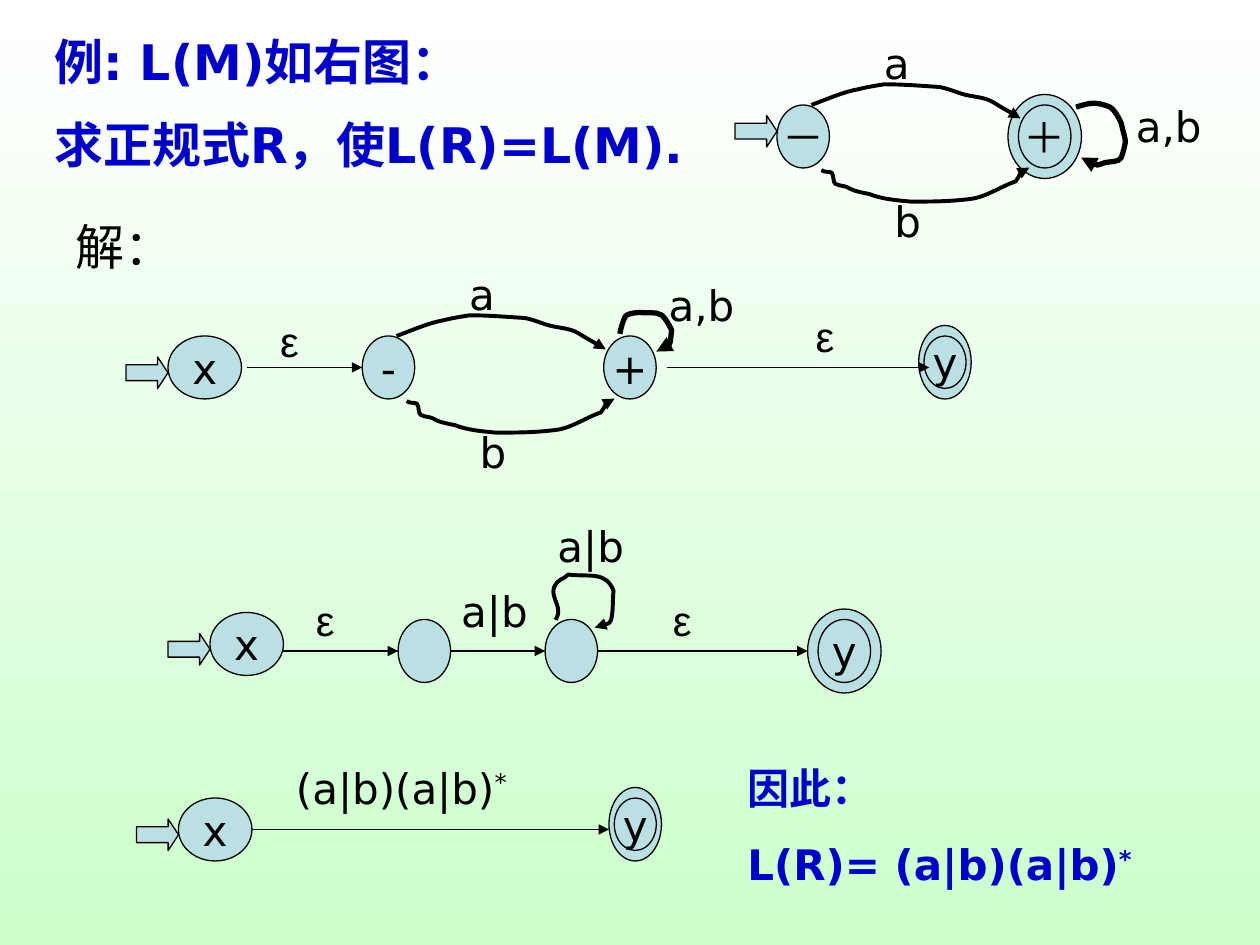
from dataclasses import dataclass

from lxml import etree
from pptx import Presentation
from pptx.dml.color import RGBColor
from pptx.enum.shapes import MSO_CONNECTOR, MSO_SHAPE
from pptx.enum.text import MSO_ANCHOR, MSO_AUTO_SIZE, PP_ALIGN
from pptx.oxml.ns import qn
from pptx.util import Pt

ELLIPSE = MSO_SHAPE.OVAL
RIGHT_ARROW = MSO_SHAPE.RIGHT_ARROW
STRAIGHT = MSO_CONNECTOR.STRAIGHT
MIDDLE = MSO_ANCHOR.MIDDLE
CENTER = PP_ALIGN.CENTER
GROW = MSO_AUTO_SIZE.SHAPE_TO_FIT_TEXT

COLORS = {"top": "FFFFFF", "bottom": "CCFFCC", "node": "BBE0E3", "ink": "000000", "blue": "0000CC"}
SANS = "DejaVu Sans"
GREEK = "Arial"


@dataclass
class Node:
    left: float
    top: float
    text: str = ""
    width: float = 30
    height: float = 36
    ring: float = 0


@dataclass
class Edge:
    start: float
    end: float
    y: float


@dataclass
class Label:
    left: float
    top: float
    width: float
    text: str
    font: str = SANS
    superscript: str = ""


@dataclass
class Curve:
    points: list[tuple[float, float]]
    weight: float = 2.25


def rgb(name: str) -> RGBColor:
    return RGBColor.from_string(COLORS[name])


def add_run(paragraph, text: str, size: float, color: str = "ink", bold: bool = False,
            font: str = SANS, raised: bool = False) -> None:
    run = paragraph.add_run()
    run.text = text
    run.font.size = Pt(size)
    run.font.name = font
    run.font.bold = bold
    run.font.color.rgb = rgb(color)
    if raised:
        run._r.get_or_add_rPr().set("baseline", "30000")


def add_text_frame(slide, left: float, top: float, width: float, height: float):
    frame = slide.shapes.add_textbox(Pt(left), Pt(top), Pt(width), Pt(height)).text_frame
    frame.word_wrap = True
    return frame


def draw_outline(shape, weight: float = 0.75, arrow: bool = False) -> None:
    shape.line.color.rgb = rgb("ink")
    shape.line.width = Pt(weight)
    if arrow:
        etree.SubElement(shape.line._get_or_add_ln(), qn("a:tailEnd"), type="triangle")


def add_filled_shape(slide, kind, left: float, top: float, width: float, height: float):
    shape = slide.shapes.add_shape(kind, Pt(left), Pt(top), Pt(width), Pt(height))
    shape.shadow.inherit = False
    shape.fill.solid()
    shape.fill.fore_color.rgb = rgb("node")
    draw_outline(shape)
    return shape


def draw_node(slide, node: Node) -> None:
    if node.ring:
        add_filled_shape(slide, ELLIPSE, node.left - node.ring, node.top - 6,
                         node.width + 2 * node.ring, node.height + 12)
    shape = add_filled_shape(slide, ELLIPSE, node.left, node.top, node.width, node.height)
    if node.text:
        frame = shape.text_frame
        frame.word_wrap = False
        frame.vertical_anchor = MIDDLE
        frame.paragraphs[0].alignment = CENTER
        add_run(frame.paragraphs[0], node.text, 24)


def draw_start(slide, left: float, top: float, text: str) -> None:
    draw_node(slide, Node(left, top, text, width=42))
    draw_entry(slide, left - 24, top + (12 if text else 6))


def draw_entry(slide, left: float, top: float) -> None:
    arrow = add_filled_shape(slide, RIGHT_ARROW, left, top, 24, 18)
    arrow.adjustments[1] = 0.33


def draw_edge(slide, edge: Edge) -> None:
    connector = slide.shapes.add_connector(STRAIGHT, Pt(edge.start), Pt(edge.y), Pt(edge.end), Pt(edge.y))
    draw_outline(connector, arrow=True)
    etree.SubElement(connector._element.spPr, qn("a:effectLst"))


def draw_label(slide, label: Label) -> None:
    frame = add_text_frame(slide, label.left, label.top, label.width, 36)
    frame.auto_size = GROW
    add_run(frame.paragraphs[0], label.text, 24, font=label.font)
    if label.superscript:
        add_run(frame.paragraphs[0], label.superscript, 24, raised=True)


def draw_curve(slide, curve: Curve, left: float = 0, top: float = 0) -> None:
    points = [(Pt(left + x), Pt(top + y)) for x, y in curve.points]
    builder = slide.shapes.build_freeform(*points[0])
    builder.add_line_segments(points[1:], close=False)
    shape = builder.convert_to_shape()
    shape.shadow.inherit = False
    shape.fill.background()
    draw_outline(shape, curve.weight, arrow=True)
    segments = list(shape._element.iter(qn("a:lnTo")))
    outline = segments[0].getparent()
    for first in range(0, len(segments), 3):
        bezier = etree.SubElement(outline, qn("a:cubicBezTo"))
        for segment in segments[first:first + 3]:
            bezier.append(segment[0])
            outline.remove(segment)


UPPER_ARC = Curve([
    (19.7, 0), (28.3, -3.1), (37.7, -7.4), (46.3, -8.9), (51.4, -10.3), (61.4, -11.8), (61.4, -11.8),
    (71.5, -11.8), (81.6, -11), (91.7, -10.3), (95.3, -10.3), (103.9, -6.7), (106.8, -6),
    (111.8, -4.6), (118.3, -4.6), (123.3, -1.7), (129.1, 1.9), (133.4, 4.1), (139.2, 7.7)])
LOWER_ARC = Curve([
    (25.4, 37.2), (26.9, 38.6), (29.8, 37.9), (31.2, 38.6), (32.6, 40.1), (31.9, 44.4), (33.4, 45.1),
    (36.2, 46.6), (39.1, 45.8), (42, 48), (44.9, 49.4), (49.2, 50.2), (52.8, 50.9),
    (60, 53.8), (68.6, 54.5), (76.5, 55.2), (87.3, 55.2), (98.1, 55.2), (109.7, 53.8),
    (119, 53), (127.7, 46.6), (136.3, 43.7), (137.8, 42.2), (138.5, 40.1), (139.2, 38.6),
    (144.2, 35), (144.2, 40.1), (144.2, 35.8)])
LOOPS = [
    Curve([(614.9, 61.2), (622.1, 59), (625.7, 57.6), (634.3, 61.2), (637.9, 63.4), (640.8, 70.6),
           (640.8, 70.6), (643, 81.4), (644.4, 78.5), (640.8, 90), (639.4, 92.9), (634.3, 92.2),
           (631.4, 92.9), (630, 93.6), (627.1, 94.3), (627.1, 94.3), (617.8, 91.4), (617.8, 94.3),
           (617.8, 90)], 3),
    Curve([(354.2, 190.8), (355, 187.2), (355.7, 184.3), (357.1, 181.4), (357.8, 178.6), (365.8, 178.6),
           (365.8, 178.6), (370.1, 179.3), (374.4, 177.8), (378, 180), (380.9, 182.2), (383.8, 188.6),
           (383.8, 188.6), (383, 196.6), (383, 200.9), (375.1, 200.9)], 3),
    Curve([(317.5, 354.2), (318.2, 352.8), (319, 351.4), (319, 349.2), (319, 343.4), (311.8, 337),
           (320.4, 331.2), (321.8, 330.5), (323.3, 329.8), (324.7, 328.3), (337, 329.8), (346.3, 326.2),
           (350.6, 337.7), (349.9, 342.7), (350.6, 348.5), (349.2, 354.2), (347.8, 357.1),
           (339.8, 358.6), (339.8, 358.6)])]
NODES = [Node(528, 192, "y", 24, 30, 3), Node(227.5, 354), Node(311.5, 354),
         Node(467.5, 354, "y", ring=6), Node(351, 456, "y", 24, 30, 3)]
STARTS = [(96, 192), (120, 350), (102, 456)]
EDGES = [Edge(141, 207, 210), Edge(381, 531, 210), Edge(161.5, 227.5, 372),
         Edge(257.5, 311.5, 372), Edge(341.5, 461.5, 372), Edge(144, 348, 474)]
LABELS = [Label(642, 54, 60, "a,b"), Label(375, 156, 60, "a,b"),
          Label(256.5, 331, 72, "a|b"), Label(311.5, 294, 72, "a|b"),
          Label(162, 432, 168, "(a|b)(a|b)", superscript="*")]
LABELS += [Label(left, top, 42, "ε", GREEK)
           for left, top in [(153, 177), (459, 174), (173.5, 336), (377.5, 336)]]


def draw_branches(slide, left: float, top: float, minus: str, plus: str, ring: float = 0) -> None:
    draw_node(slide, Node(left, top, minus))
    draw_node(slide, Node(left + 138, top, plus, ring=ring))
    draw_curve(slide, UPPER_ARC, left, top)
    draw_curve(slide, LOWER_ARC, left, top)
    draw_label(slide, Label(left + 54, top - 42, 54, "a"))
    draw_label(slide, Label(left + 60, top + 48, 54, "b"))


def draw_texts(slide) -> None:
    question = add_text_frame(slide, 24, 18, 390, 90)
    for index, text in enumerate(["例: L(M)如右图：", "求正规式R，使L(R)=L(M)."]):
        paragraph = question.add_paragraph() if index else question.paragraphs[0]
        properties = paragraph._p.get_or_add_pPr()
        properties.set("marL", str(Pt(27)))
        properties.set("indent", str(Pt(-27)))
        paragraph.line_spacing = 0.9
        paragraph.space_before = Pt(17.5 * index)
        add_run(paragraph, text, 28, "blue", True)
    solution = add_text_frame(slide, 36, 120, 84, 41)
    add_run(solution.paragraphs[0], "解：", 28)
    conclusion = add_text_frame(slide, 420, 432, 282, 80)
    add_run(conclusion.paragraphs[0], "因此：", 24, "blue", True)
    result = conclusion.add_paragraph()
    result.space_before = Pt(15)
    add_run(result, "L(R)= (a|b)(a|b)", 24, "blue", True)
    add_run(result, "*", 24, "blue", True, raised=True)


def main() -> None:
    presentation = Presentation()
    presentation.slide_width, presentation.slide_height = Pt(720), Pt(540)
    slide = presentation.slides.add_slide(presentation.slide_layouts[6])
    background = slide.background.fill
    background.gradient()
    background.gradient_angle = 270
    for stop, name in zip(background.gradient_stops, ("top", "bottom")):
        stop.color.rgb = rgb(name)
    draw_texts(slide)
    draw_branches(slide, 444, 60, "－", "＋", ring=6)
    draw_entry(slide, 420, 66)
    draw_branches(slide, 207, 192, "-", "+")
    for left, top in STARTS:
        draw_start(slide, left, top, "x")
    for draw, items in ((draw_node, NODES), (draw_edge, EDGES), (draw_curve, LOOPS), (draw_label, LABELS)):
        for item in items:
            draw(slide, item)
    presentation.save("out.pptx")


if __name__ == "__main__":
    main()
